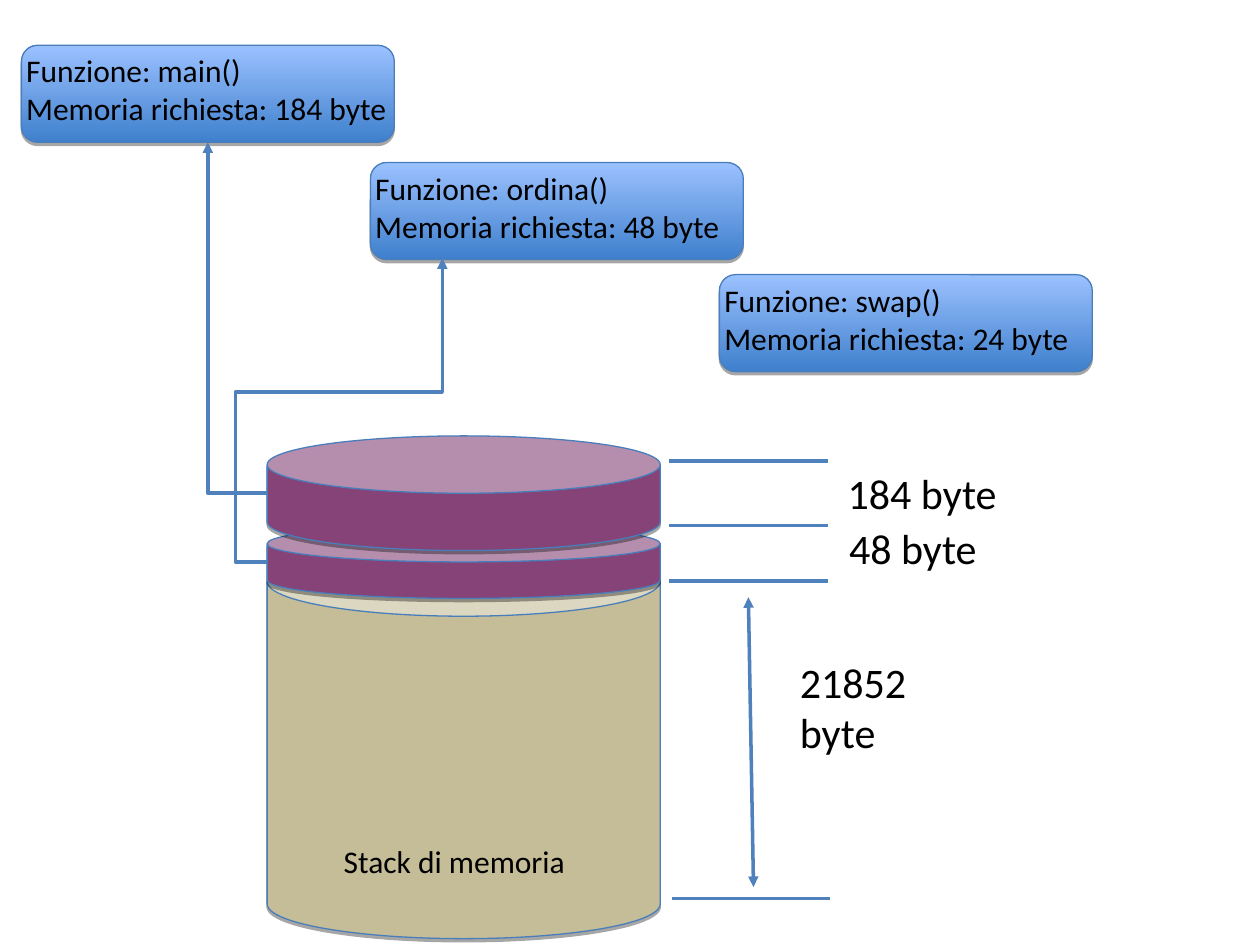
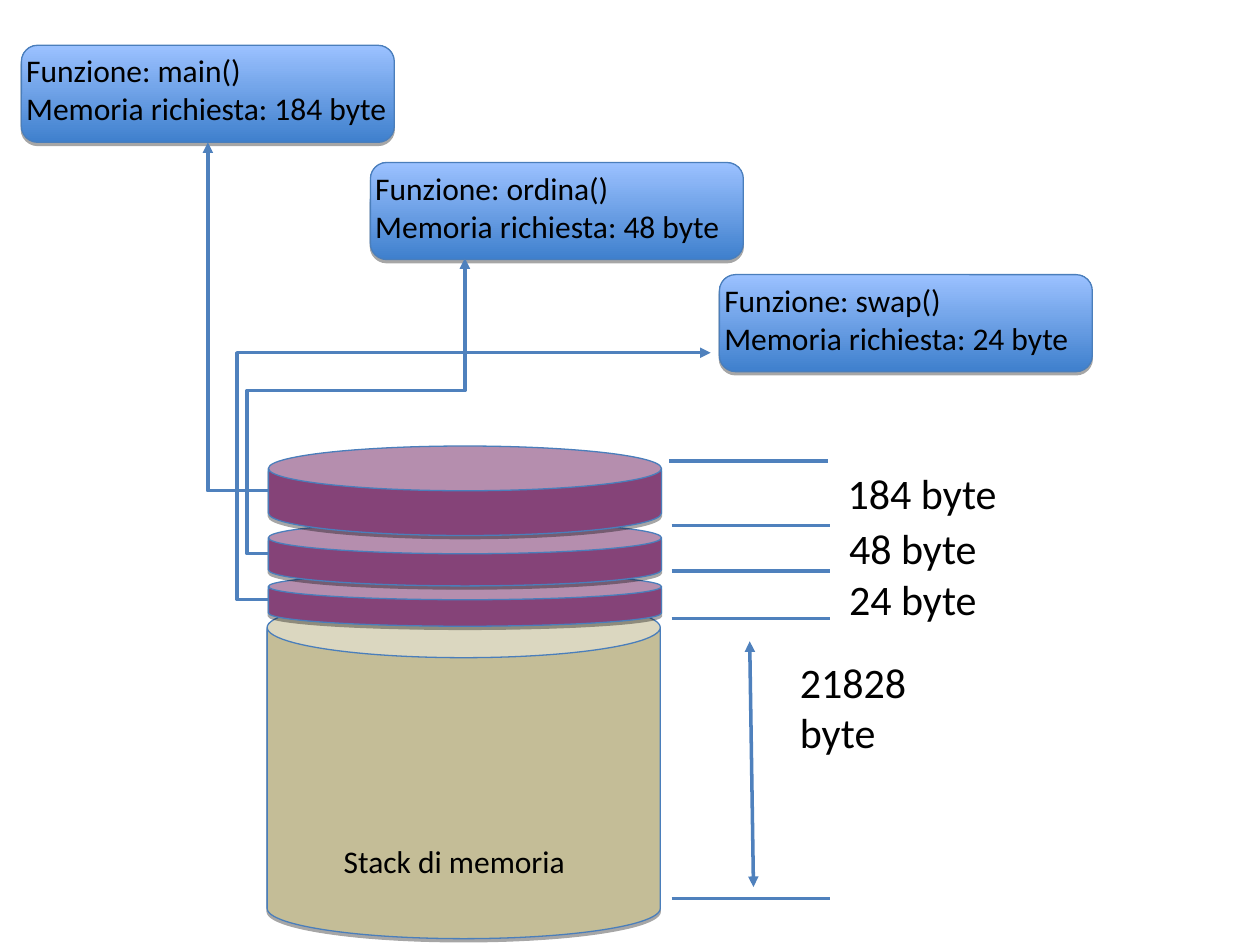
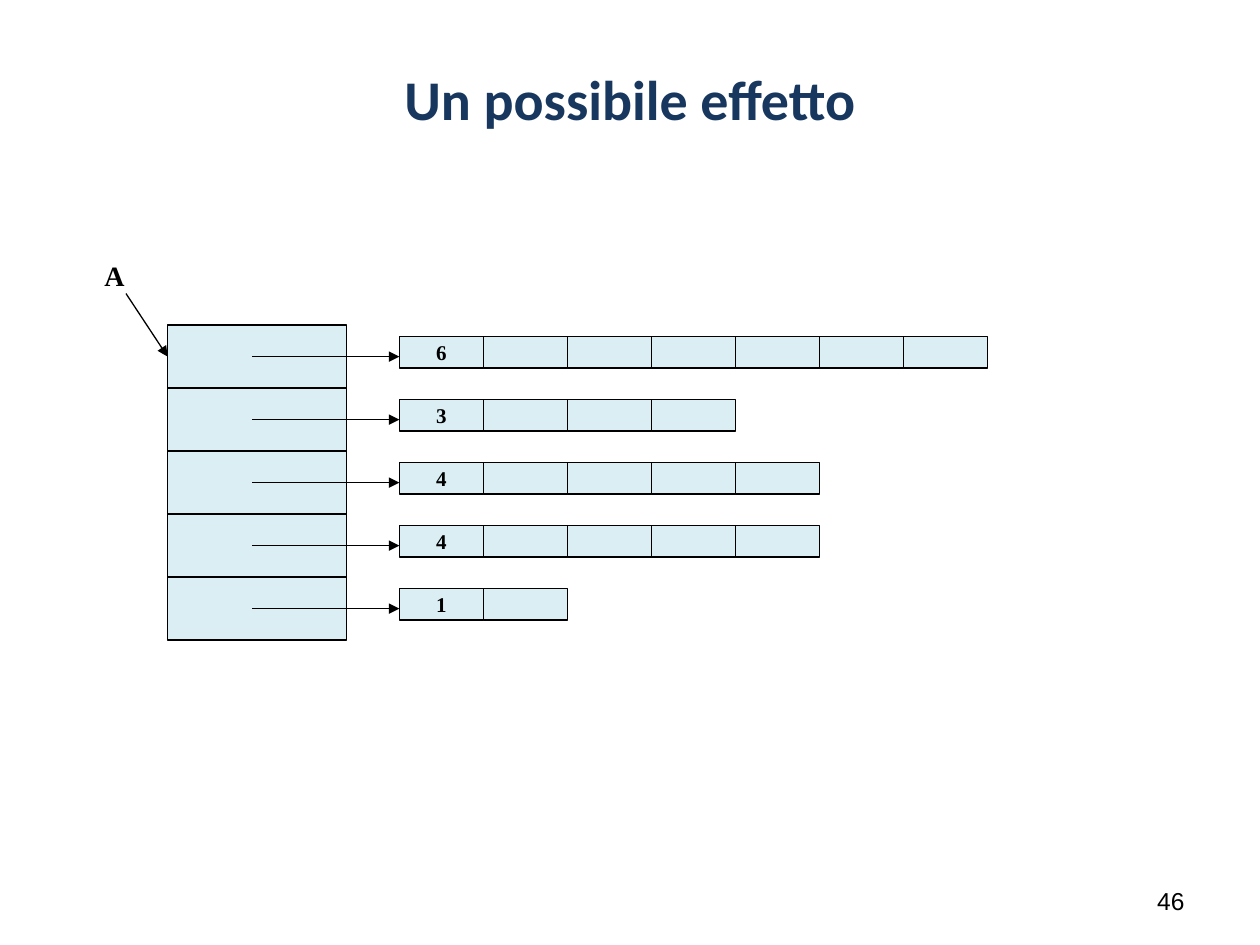
from dataclasses import dataclass

from lxml import etree
from pptx import Presentation
from pptx.dml.color import RGBColor
from pptx.enum.shapes import MSO_CONNECTOR, MSO_SHAPE
from pptx.enum.text import MSO_ANCHOR, MSO_AUTO_SIZE, PP_ALIGN
from pptx.oxml.ns import qn
from pptx.util import Inches, Pt

STRAIGHT, ELBOW = MSO_CONNECTOR.STRAIGHT, MSO_CONNECTOR.ELBOW
RECT, ROUND_RECT, CAN = MSO_SHAPE.RECTANGLE, MSO_SHAPE.ROUNDED_RECTANGLE, MSO_SHAPE.CAN
LEFT, CENTER, RIGHT = PP_ALIGN.LEFT, PP_ALIGN.CENTER, PP_ALIGN.RIGHT
TOP, MIDDLE = MSO_ANCHOR.TOP, MSO_ANCHOR.MIDDLE
FIT_SHAPE, NO_FIT = MSO_AUTO_SIZE.SHAPE_TO_FIT_TEXT, MSO_AUTO_SIZE.NONE
TITLE_ONLY, BLANK = 5, 6
LEFT_SIDE = 1


@dataclass(frozen=True)
class Theme:
    """Colours, fonts and type sizes of the deck."""
    ink: str = "000000"
    title: str = "17375E"
    outline: str = "4A7EBB"
    link: str = "4F81BD"
    box_dark: str = "3F80CD"
    box_light: str = "9BC1FF"
    stack: str = "C4BD97"
    block: str = "854378"
    cell: str = "DBEEF4"
    body_font: str = "Calibri"
    array_font: str = "Times New Roman"
    number_font: str = "Arial"
    title_size: int = 32
    amount_size: int = 24
    body_size: int = 18
    name_size: int = 16
    number_size: int = 14
    cell_size: int = 12
    thin: float = 0.75
    thick: float = 2


@dataclass(frozen=True)
class Block:
    """One function's share of the stack."""
    top: float
    height: float
    label: str
    label_at: tuple
    link_end: tuple
    turn_x: float
    turn_y: float = None


THEME = Theme()
FUNCTIONS = (("main", 184, 0.17, 0.36), ("ordina", 48, 2.94, 1.29), ("swap", 24, 5.71, 2.18))
STACK_LEFT, STACK_WIDTH, STACK_BOTTOM = 2.12, 3.12, 7.45
MARK_WIDTH = 1.26
ROW_LENGTHS = (6, 3, 4, 4, 1)
ROW_PITCH = 0.5
CELL_WIDTH, CELL_HEIGHT = 2 / 3, 0.25


def rgb(color):
    """Turn a hex string into a colour."""
    return RGBColor.from_string(color)


def write(tf, text, size=THEME.body_size, font=THEME.body_font, color=THEME.ink,
          bold=False, align=LEFT, anchor=TOP, wrap=True, fit=NO_FIT):
    """Fill a text frame, one paragraph for each line of text."""
    tf.word_wrap = wrap
    tf.auto_size = fit
    tf.vertical_anchor = anchor
    for i, line in enumerate(text.split("\n")):
        p = tf.paragraphs[0] if i == 0 else tf.add_paragraph()
        p.alignment = align
        r = p.add_run()
        r.text = line
        r.font.size = Pt(size)
        r.font.name = font
        r.font.bold = bold
        r.font.color.rgb = rgb(color)


def add_label(slide, text, x, y, w, h, **fmt):
    """Add a text box."""
    sp = slide.shapes.add_textbox(Inches(x), Inches(y), Inches(w), Inches(h))
    write(sp.text_frame, text, **fmt)


def add_box(slide, kind, x, y, w, h, fill, line=THEME.outline, adj=None):
    """Add a filled preset shape; a pair of fills makes an upward gradient."""
    sp = slide.shapes.add_shape(kind, Inches(x), Inches(y), Inches(w), Inches(h))
    if adj is not None:
        sp.adjustments[0] = adj
    if isinstance(fill, tuple):
        sp.fill.gradient()
        sp.fill.gradient_angle = 90
        for stop, color in zip(sp.fill.gradient_stops, fill):
            stop.color.rgb = rgb(color)
    else:
        sp.fill.solid()
        sp.fill.fore_color.rgb = rgb(fill)
    sp.line.color.rgb = rgb(line)
    sp.line.width = Pt(THEME.thin)
    sp.shadow.inherit = False
    return sp


def cast_shadow(sp):
    """Give a shape a faint hard shadow just below it."""
    effects = sp._element.spPr.find(qn("a:effectLst"))
    shadow = etree.SubElement(effects, qn("a:outerShdw"), blurRad="0", dist=str(Pt(1.8)),
                              dir="5400000", rotWithShape="0")
    color = etree.SubElement(shadow, qn("a:srgbClr"), val=THEME.ink)
    etree.SubElement(color, qn("a:alpha"), val="35000")


def add_line(slide, start, end, kind=STRAIGHT, color=THEME.link, width=THEME.thick,
             head=False, tail=False):
    """Add a connector with optional arrowheads."""
    cxn = slide.shapes.add_connector(kind, *(Inches(v) for v in (*start, *end)))
    cxn.line.color.rgb = rgb(color)
    cxn.line.width = Pt(width)
    ln = cxn.line._get_or_add_ln()
    for tag, wanted in (("a:headEnd", head), ("a:tailEnd", tail)):
        if wanted:
            etree.SubElement(ln, qn(tag), type="triangle")
    etree.SubElement(cxn._element.spPr, qn("a:effectLst"))
    return cxn


def add_elbow(slide, start, end, turn_x, turn_y=None):
    """Add a bent arrow that leaves sideways to turn_x, then runs level at turn_y."""
    cxn = add_line(slide, start, end, kind=ELBOW, tail=True)
    (x0, y0), (x1, y1) = start, end
    ratios = [] if turn_x == x1 else [(turn_x - x0) / (x1 - x0)]
    if turn_y is not None:
        ratios.append((turn_y - y0) / (y1 - y0))
    geom = cxn._element.spPr.find(qn("a:prstGeom"))
    geom.set("prst", f"bentConnector{len(ratios) + 2}")
    guides = geom.find(qn("a:avLst"))
    for i, ratio in enumerate(ratios, 1):
        etree.SubElement(guides, qn("a:gd"), name=f"adj{i}", fmla=f"val {round(ratio * 100000)}")


def add_function(slide, name, size, x, y):
    """Add the box that states a function and the memory it needs."""
    sp = add_box(slide, ROUND_RECT, x, y, 2.96, 0.77, (THEME.box_dark, THEME.box_light), adj=0.167)
    cast_shadow(sp)
    add_label(slide, f"Funzione: {name}()\nMemoria richiesta: {size} byte",
              x - 0.06, y, 3.07, 0.7, fit=FIT_SHAPE)


def add_can(slide, x, y, h, fill, adj):
    """Add a cylinder of the stack."""
    cast_shadow(add_box(slide, CAN, x, y, STACK_WIDTH, h, fill, adj=adj))


def stack_slide(prs, stack_top, block_left, blocks, marks, span, free):
    """Build a slide with the stack, its blocks from the bottom up and their sizes."""
    slide = prs.slides.add_slide(prs.slide_layouts[BLANK])
    for function in FUNCTIONS:
        add_function(slide, *function)
    add_can(slide, STACK_LEFT, stack_top, STACK_BOTTOM - stack_top, THEME.stack, 0.177)
    add_label(slide, "Stack di memoria", 2.63, 6.63, 1.97, 0.4, fit=FIT_SHAPE)
    for b in blocks:
        add_can(slide, block_left, b.top, b.height, THEME.block, 0.5)
        add_label(slide, b.label, *b.label_at, 1.43, 0.5, size=THEME.amount_size, fit=FIT_SHAPE)
    for b in blocks:
        add_elbow(slide, (block_left, b.top + b.height / 2), b.link_end, b.turn_x, b.turn_y)
    for x, y in marks:
        add_line(slide, (x, y), (x + MARK_WIDTH, y))
    add_line(slide, *span, head=True, tail=True)
    add_label(slide, free, 6.25, 5.16, 1.26, 0.9, size=THEME.amount_size, fit=FIT_SHAPE)


def add_cell(slide, x, y, w, h):
    """Add one array cell."""
    return add_box(slide, RECT, x, y, w, h, THEME.cell, line=THEME.ink)


def array_slide(prs):
    """Build the slide with an array of pointers to rows of different length."""
    slide = prs.slides.add_slide(prs.slide_layouts[TITLE_ONLY])
    title = slide.shapes.title
    title.left, title.top, title.width, title.height = (Inches(v) for v in (0.5, 0.3, 9, 0.95))
    write(title.text_frame, "Un possibile effetto", size=THEME.title_size, color=THEME.title,
          bold=True, align=CENTER, anchor=MIDDLE)
    add_label(slide, "46", 7.17, 6.95, 2.33, 0.4, size=THEME.number_size,
              font=THEME.number_font, align=RIGHT, anchor=MIDDLE)

    thin = {"color": THEME.ink, "width": THEME.thin, "tail": True}
    bold = {"font": THEME.array_font, "bold": True, "wrap": False}
    tops = [2.58 + i * ROW_PITCH for i in range(len(ROW_LENGTHS))]
    pointers = [add_cell(slide, 1.33, y, 1.42, ROW_PITCH) for y in tops]
    for y, length in zip(tops, ROW_LENGTHS):
        cells = [add_cell(slide, 3.17 + i * CELL_WIDTH, y + 0.09, CELL_WIDTH, CELL_HEIGHT)
                 for i in range(length + 1)]
        write(cells[0].text_frame, str(length), size=THEME.cell_size, align=CENTER,
              anchor=MIDDLE, **bold)
        add_line(slide, (2, y + ROW_PITCH / 2), (3.17, y + ROW_PITCH / 2), **thin)
    arrow = add_line(slide, (1, 2.33), (1.33, 2.83), **thin)
    arrow.end_connect(pointers[0], LEFT_SIDE)
    add_label(slide, "A", 0.73, 2, 0.36, 0.37, size=THEME.name_size, fit=FIT_SHAPE, **bold)


def main():
    """Build and save the deck."""
    prs = Presentation()
    prs.slide_width, prs.slide_height = Inches(10), Inches(7.5)
    main_label, ordina_label, swap_label = (6.63, 3.66), (6.64, 4.1), (6.64, 4.5)
    stack_slide(
        prs, 4.34, STACK_LEFT,
        [Block(4.17, 0.58, "48 byte", ordina_label, (3.51, 2.05), 1.87, 3.11),
         Block(3.46, 0.91, "184 byte", main_label, (1.65, 1.13), 1.65)],
        [(5.31, 3.66), (5.31, 4.17), (5.31, 4.61), (5.33, 7.13)],
        ((5.94, 4.74), (5.98, 7.04)), "21852 byte")
    stack_slide(
        prs, 4.74, 2.13,
        [Block(4.55, 0.42, "24 byte", swap_label, (5.64, 2.8), 1.88),
         Block(4.14, 0.51, "48 byte", ordina_label, (3.69, 2.05), 1.96, 3.1),
         Block(3.54, 0.71, "184 byte", main_label, (1.65, 1.13), 1.65)],
        [(5.31, 3.66), (5.33, 4.17), (5.33, 4.53), (5.33, 4.91), (5.33, 7.13)],
        ((5.95, 5.09), (5.98, 7.04)), "21828 byte")
    array_slide(prs)
    prs.save("out.pptx")


if __name__ == "__main__":
    main()
